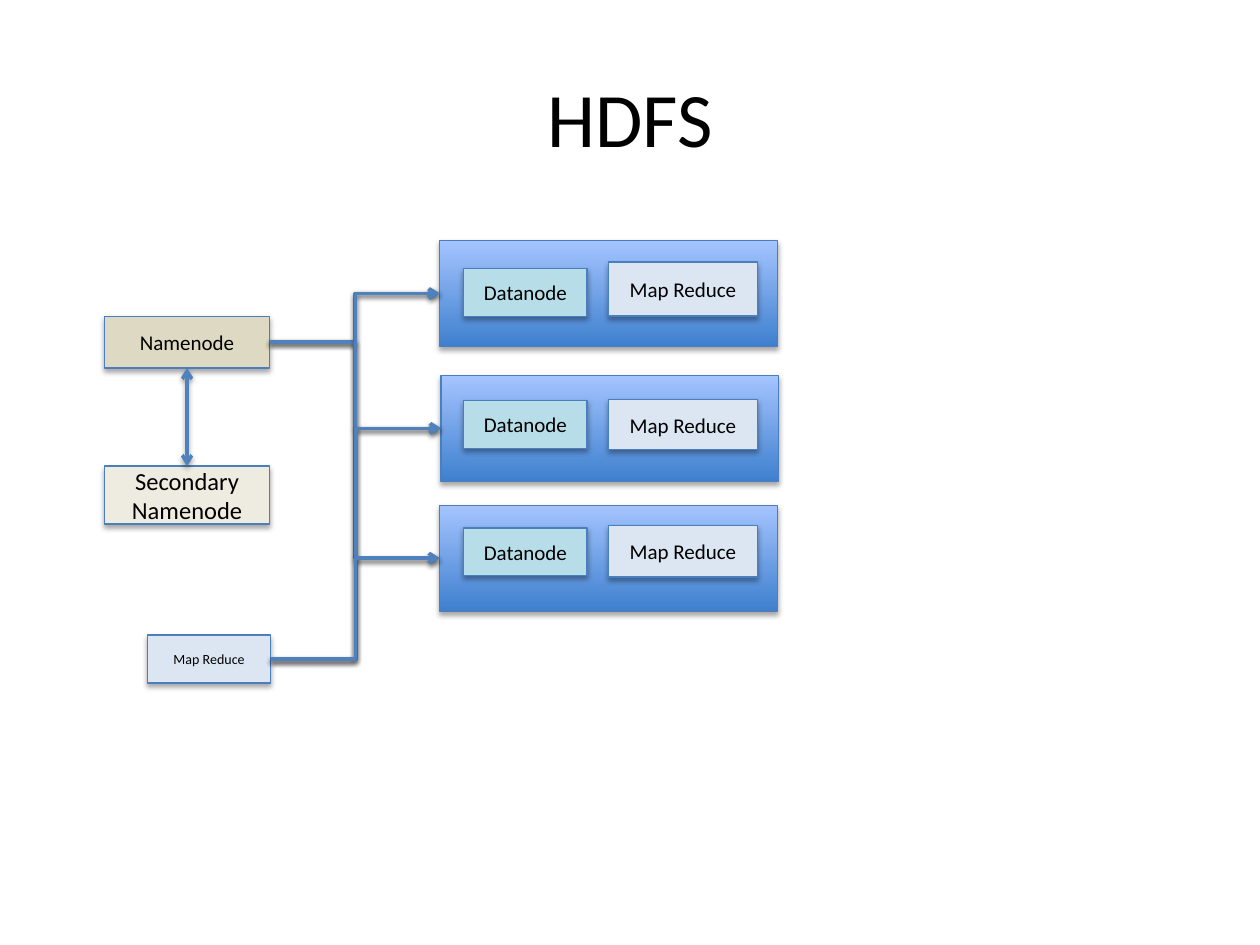
"""Builds a slide of an HDFS cluster: master nodes linked to three worker nodes."""
from pptx import Presentation
from pptx.dml.color import RGBColor
from pptx.enum.shapes import MSO_CONNECTOR, MSO_SHAPE
from pptx.enum.text import MSO_ANCHOR, PP_ALIGN
from pptx.oxml import parse_xml
from pptx.oxml.ns import nsdecls
from pptx.util import Inches, Pt

RECTANGLE = MSO_SHAPE.RECTANGLE
ELBOW, STRAIGHT = MSO_CONNECTOR.ELBOW, MSO_CONNECTOR.STRAIGHT
TOP, LEFT, BOTTOM, RIGHT = range(4)
BORDER, LINK = "4B7EBC", "4F81BD"
SERVER_LOW, SERVER_HIGH = "3F80CE", "A4C4FF"
DATA, REDUCE = "B7DEE8", "DCE6F2"

deck = Presentation()
deck.slide_width, deck.slide_height = Inches(10), Inches(7.5)
column, row = deck.slide_width / 100, deck.slide_height / 100
slide = deck.slides.add_slide(deck.slide_layouts[6])


def style(item, color, width, distance, opacity):
    item.line.color.rgb = RGBColor.from_string(color)
    item.line.width = Pt(width)
    item._element.spPr.append(parse_xml(
        f'<a:effectLst {nsdecls("a")}><a:outerShdw blurRad="{Pt(3.1)}" dist="{Pt(distance)}" '
        f'dir="5400000" rotWithShape="0"><a:srgbClr val="000000">'
        f'<a:alpha val="{opacity * 1000}"/></a:srgbClr></a:outerShdw></a:effectLst>'))


def add_box(text, x, y, width, height, size=12, fill=None, boxed=True):
    place = [int(v) for v in (x * column, y * row, width * column, height * row)]
    if boxed:
        box = slide.shapes.add_shape(RECTANGLE, *place)
        if fill:
            box.fill.solid()
            box.fill.fore_color.rgb = RGBColor.from_string(fill)
        else:
            box.fill.gradient()
            box.fill.gradient_angle = 90
            for stop, color in zip(box.fill.gradient_stops, (SERVER_LOW, SERVER_HIGH)):
                stop.color.rgb = RGBColor.from_string(color)
        style(box, BORDER, 0.75, 1.8, 35)
    else:
        box = slide.shapes.add_textbox(*place)
    if text:
        box.text_frame.word_wrap = True
        box.text_frame.vertical_anchor = MSO_ANCHOR.MIDDLE
        label = box.text_frame.paragraphs[0]
        label.text = text
        label.alignment = PP_ALIGN.CENTER
        label.font.name, label.font.size = "Calibri", Pt(size)
        label.font.color.rgb = RGBColor.from_string("000000")
    return box


add_box("HDFS", 5, 4, 90, 16.67, 44, boxed=False)

workers = []
for server_x, server_y, data_y, reduce_y, reduce_height in (
    (34.9, 25.47, 28.4, 27.73, 5.73),
    (35, 39.73, 42.4, 42.27, 5.33),
    (34.9, 53.47, 55.87, 55.6, 5.47),
):
    workers.append(add_box("", server_x, server_y, 26.8, 11.2))
    add_box("Datanode", 36.8, data_y, 9.8, 5.07, fill=DATA)
    add_box("Map Reduce", 48.3, reduce_y, 11.8, reduce_height, fill=REDUCE)

namenode = add_box("Namenode", 8.3, 33.47, 13.1, 5.47, fill="DDD9C3")
secondary = add_box("Secondary Namenode", 8.3, 49.33, 13.1, 6.13, 14, "EEECE1")
map_reduce = add_box("Map Reduce", 11.7, 67.2, 9.8, 5.07, 8, REDUCE)

links = [(ELBOW, master, RIGHT, worker, LEFT, ("tailEnd",))
         for master in (namenode, map_reduce) for worker in workers]
links.append((STRAIGHT, namenode, BOTTOM, secondary, TOP, ("headEnd", "tailEnd")))
for kind, start, start_side, end, end_side, arrowheads in links:
    link = slide.shapes.add_connector(kind, 0, 0, 0, 0)
    link.begin_connect(start, start_side)
    link.end_connect(end, end_side)
    style(link, LINK, 2, 1.6, 38)
    for arrowhead in arrowheads:
        link.line._get_or_add_ln().append(
            parse_xml(f'<a:{arrowhead} {nsdecls("a")} type="arrow"/>'))

deck.save("out.pptx")
